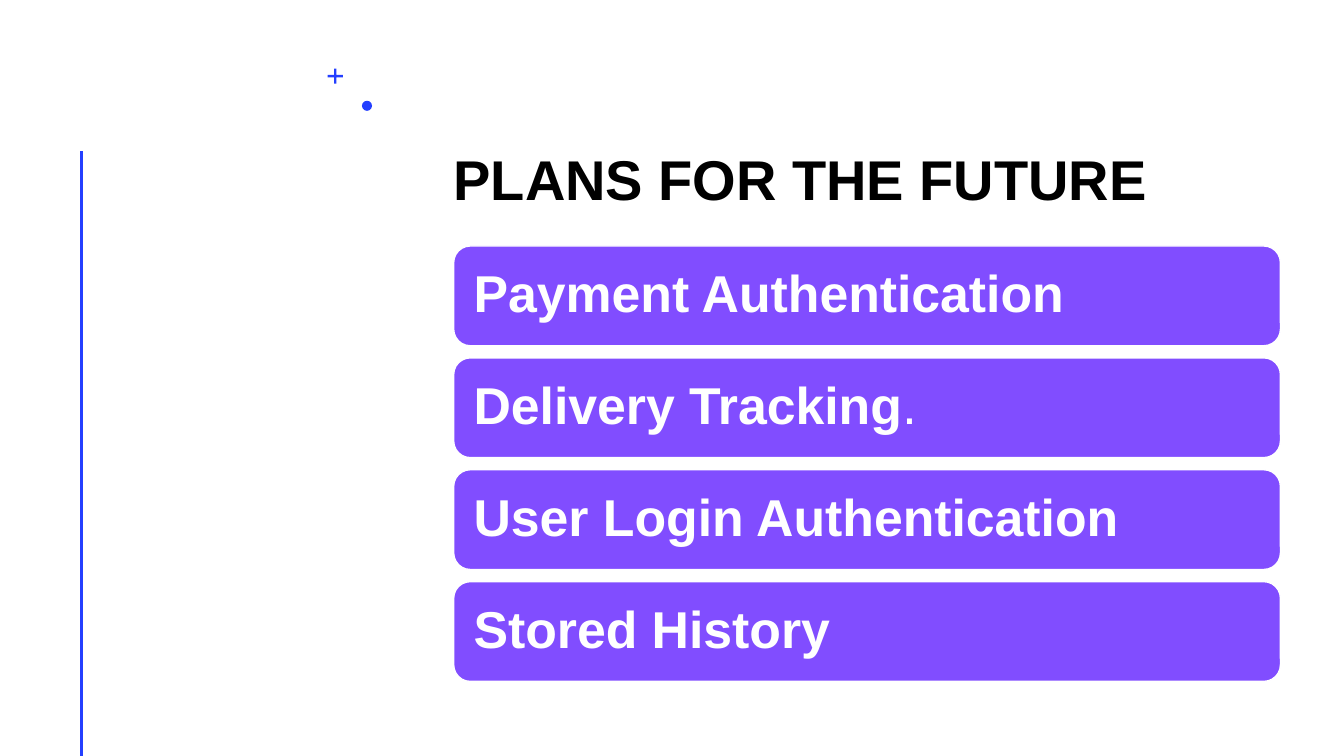
"""Build the slide listing plans for the future."""
import dataclasses

import lxml.etree
import pptx
import pptx.dml.color
import pptx.enum.shapes
import pptx.enum.text
import pptx.oxml.ns
import pptx.util

PX = 9144
SLIDE_W, SLIDE_H = 1333, 750
FONT = "Arial"
COLORS = {"accent": "243FFF", "card": "814DFF", "title": "000000", "white": "FFFFFF"}
SHAPES = pptx.enum.shapes.MSO_SHAPE
ANCHOR = pptx.enum.text.MSO_ANCHOR
CARD_X, CARD_Y, CARD_W, CARD_H, CARD_STEP = 450, 244, 820, 99, 111


@dataclasses.dataclass(frozen=True)
class Box:
    x: int
    y: int
    w: int
    h: int

    def emu(self) -> tuple[int, int, int, int]:
        return self.x * PX, self.y * PX, self.w * PX, self.h * PX


@dataclasses.dataclass(frozen=True)
class Plan:
    name: str
    ending: str = ""


PLANS = [
    Plan("Payment Authentication"),
    Plan("Delivery Tracking", "."),
    Plan("User Login Authentication"),
    Plan("Stored History"),
]


def rgb(name: str) -> pptx.dml.color.RGBColor:
    return pptx.dml.color.RGBColor.from_string(COLORS[name])


def add_filled(s, kind, box: Box, color: str):
    sp = s.shapes.add_shape(kind, *box.emu())
    sp.shadow.inherit = False
    sp.fill.solid()
    sp.fill.fore_color.rgb = rgb(color)
    sp.line.fill.background()
    return sp


def set_frame(tf, inset: int, anchor) -> None:
    tf.word_wrap = True
    tf.vertical_anchor = anchor
    tf.margin_left = tf.margin_right = inset * PX
    tf.margin_top = tf.margin_bottom = inset * PX


def style_run(r, size: int, color: str, bold: bool = True) -> None:
    r.font.name = FONT
    r.font.size = pptx.util.Pt(size)
    r.font.bold = bold
    r.font.color.rgb = rgb(color)


def add_decoration(s) -> None:
    add_filled(s, SHAPES.OVAL, Box(359, 100, 10, 10), "accent")
    plus = add_filled(s, SHAPES.CROSS, Box(325, 68, 15, 15), "accent")
    plus.adjustments[0] = 0.42
    line = s.shapes.add_connector(
        pptx.enum.shapes.MSO_CONNECTOR.STRAIGHT, 81 * PX, 150 * PX, 81 * PX, SLIDE_H * PX
    )
    line.line.color.rgb = rgb("accent")
    line.line.width = pptx.util.Pt(2)
    lxml.etree.SubElement(line._element.spPr, pptx.oxml.ns.qn("a:effectLst"))


def add_title(s, text: str) -> None:
    tf = s.shapes.add_textbox(*Box(CARD_X, 70, CARD_W, 140).emu()).text_frame
    set_frame(tf, 0, ANCHOR.BOTTOM)
    p = tf.paragraphs[0]
    p.text = text
    p.line_spacing = pptx.util.Pt(40)
    p.space_after = pptx.util.Pt(8)
    style_run(p.runs[0], 40, "title")


def add_card(s, box: Box, plan: Plan) -> None:
    sp = add_filled(s, SHAPES.ROUNDED_RECTANGLE, box, "card")
    sp.line.color.rgb = rgb("white")
    sp.line.width = pptx.util.Pt(1)
    set_frame(sp.text_frame, 15, ANCHOR.MIDDLE)
    p = sp.text_frame.paragraphs[0]
    p.text = plan.name
    p.alignment = pptx.enum.text.PP_ALIGN.LEFT
    p.line_spacing = 0.9
    style_run(p.runs[0], 37, "white")
    if plan.ending:
        r = p.add_run()
        r.text = plan.ending
        style_run(r, 37, "white", bold=False)


def main() -> None:
    prs = pptx.Presentation()
    prs.slide_width, prs.slide_height = SLIDE_W * PX, SLIDE_H * PX
    s = prs.slides.add_slide(prs.slide_layouts[6])
    add_decoration(s)
    add_title(s, "PLANS FOR THE FUTURE")
    for i, plan in enumerate(PLANS):
        add_card(s, Box(CARD_X, CARD_Y + i * CARD_STEP, CARD_W, CARD_H), plan)
    prs.save("out.pptx")


if __name__ == "__main__":
    main()
